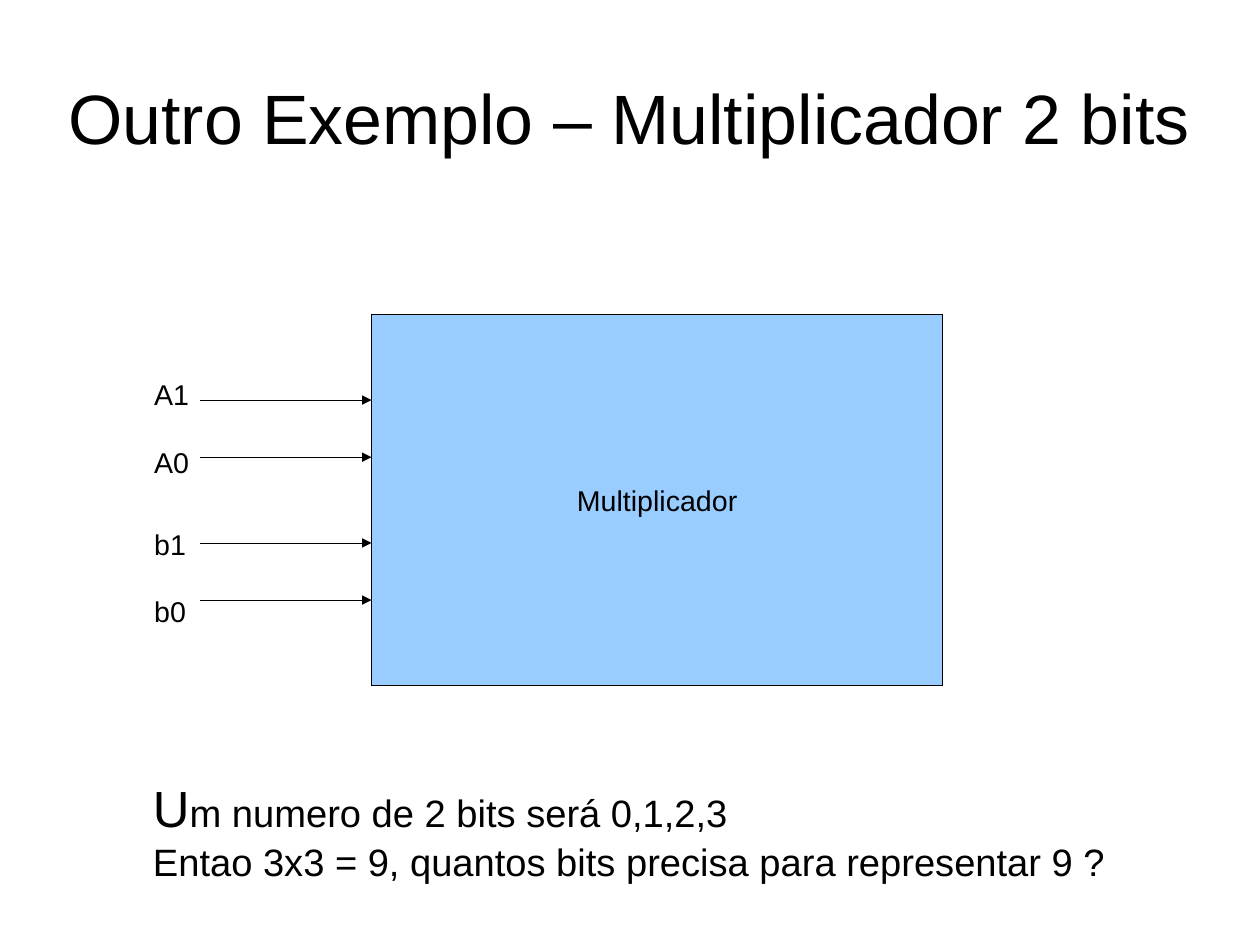
from pptx import Presentation
from pptx import util as u
from pptx.dml.color import RGBColor
from pptx.enum import shapes, text
from pptx.oxml.ns import qn
from lxml import etree

COLORS = {"ink": "000000", "block": "99CCFF"}
FONT = "Arial"
CELL = 0.25  # inches per grid step
INPUT_COL, BLOCK_COL = 7, 13
INPUT_ROWS = (14, 16, 19, 21)


def grid(steps):
    return u.Inches(steps * CELL)


def color(name):
    return RGBColor.from_string(COLORS[name])


def style_runs(paragraph, *sizes):
    """Format each run of the paragraph with the matching size."""
    for run, size in zip(paragraph.runs, sizes):
        run.font.name = FONT
        run.font.size = u.Pt(size)
        run.font.color.rgb = color("ink")


def draw_hairline(line):
    """Colour the line and write its zero width, which line.width leaves out."""
    line.color.rgb = color("ink")
    outline = line._get_or_add_ln()
    outline.set("w", "0")
    return outline


def add_text(slide, area, lines, size, gap=0):
    """Place lines of text in a grid area, with a gap in points between them."""
    frame = slide.shapes.add_textbox(*map(grid, area)).text_frame
    frame.word_wrap = False
    frame.auto_size = text.MSO_AUTO_SIZE.SHAPE_TO_FIT_TEXT
    frame.text = "\n".join(lines)
    for index, paragraph in enumerate(frame.paragraphs):
        style_runs(paragraph, size)
        if index and gap:
            paragraph.space_before = u.Pt(gap)
    return frame


def add_title(slide, wording):
    frame = add_text(slide, (2.2, 1.52, 39.68, 5.12), [wording], 44)
    frame.word_wrap = True
    frame.auto_size = text.MSO_AUTO_SIZE.NONE
    frame.margin_left = frame.margin_right = 0
    frame.margin_top = frame.margin_bottom = 0
    frame.vertical_anchor = text.MSO_ANCHOR.MIDDLE
    frame.paragraphs[0].alignment = text.PP_ALIGN.CENTER


def add_block(slide, area, label):
    block = slide.shapes.add_shape(shapes.MSO_SHAPE.RECTANGLE, *map(grid, area))
    block.shadow.inherit = False
    block.fill.solid()
    block.fill.fore_color.rgb = color("block")
    draw_hairline(block.line)
    frame = block.text_frame
    frame.text = label
    frame.vertical_anchor = text.MSO_ANCHOR.MIDDLE
    frame.paragraphs[0].alignment = text.PP_ALIGN.CENTER
    style_runs(frame.paragraphs[0], 18)


def add_input_arrow(slide, row):
    arrow = slide.shapes.add_connector(
        shapes.MSO_CONNECTOR.STRAIGHT,
        grid(INPUT_COL), grid(row), grid(BLOCK_COL), grid(row))
    outline = draw_hairline(arrow.line)
    etree.SubElement(outline, qn("a:tailEnd"), type="triangle")
    etree.SubElement(arrow._element.spPr, qn("a:effectLst"))


def add_question(slide):
    frame = add_text(slide, (4.96, 27, 34.12, 3.88), [
        "U", "Entao 3x3 = 9, quantos bits precisa para representar 9 ?"], 24)
    opening = frame.paragraphs[0]
    opening.add_run().text = "m numero de 2 bits será 0,1,2,3"
    style_runs(opening, 32, 24)


def main():
    deck = Presentation()
    deck.slide_width, deck.slide_height = u.Cm(28), u.Cm(21)
    slide = deck.slides.add_slide(deck.slide_layouts[6])

    add_title(slide, "Outro Exemplo – Multiplicador 2 bits")
    add_block(slide, (BLOCK_COL, 11, 20, 13), "Multiplicador")
    for row in INPUT_ROWS:
        add_input_arrow(slide, row)
    for row, names in ((13, ["A1", "A0"]), (18.24, ["b1", "b0"])):
        add_text(slide, (5, row, 2.04, 3.76), names, 18, gap=21)
    add_question(slide)

    deck.save("out.pptx")


if __name__ == "__main__":
    main()
